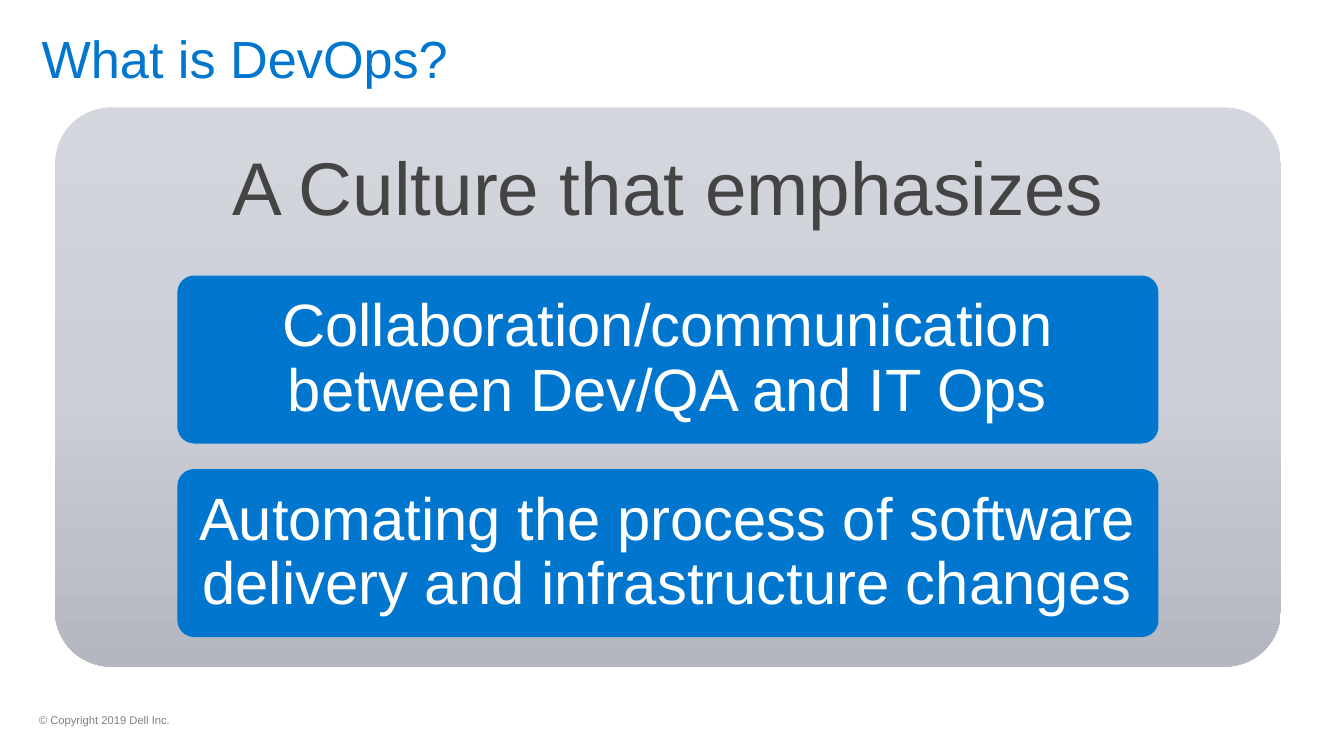
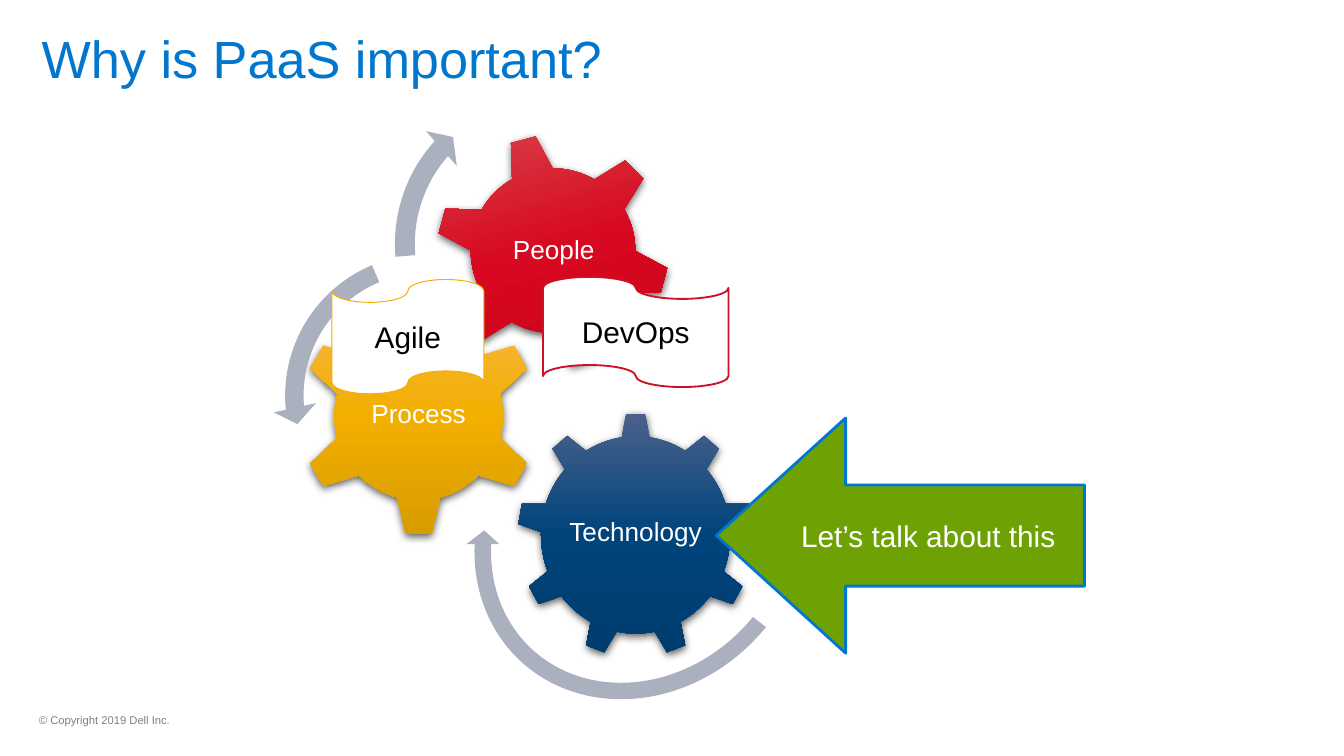
from pptx import Presentation
from pptx.dml.color import RGBColor
from pptx.enum.shapes import MSO_SHAPE
from pptx.enum.text import MSO_ANCHOR, MSO_AUTO_SIZE, PP_ALIGN
from pptx.oxml import parse_xml
from pptx.oxml.ns import nsdecls, qn
from pptx.util import Inches, Pt

FONT = "Arial"
TIGHT = 0.9
WIDTH = 10
HEIGHT = WIDTH * 9 / 16
COLORS = {
    "blue": "0076CE",
    "white": "FFFFFF",
    "black": "000000",
    "text": "444444",
    "note": "808080",
    "swirl": "ABB0BF",
    "green": "6EA204",
    "gold": "F2AF00",
    "red": "CE1126",
}
GRADES = {
    "panel": ("D4D6DD", "CCCFD8", "B4B7C0"),
    "navy": ("4B618B", "00447C", "003C6E"),
    "gold": ("F7B84B", "F2AF00", "D79C00"),
    "red": ("D84C51", "D7081F", "C60016"),
}


def rgb(name):
    return RGBColor.from_string(COLORS[name])


def assign(target, values):
    for key, value in values.items():
        setattr(target, key, value)


def place(box):
    return [Inches(value) for value in box]


def write(shape, text, size, color, inset=None, align=PP_ALIGN.CENTER,
          anchor=MSO_ANCHOR.MIDDLE, spacing=TIGHT, wrap=True,
          fit=MSO_AUTO_SIZE.NONE):
    """Put one formatted paragraph in a shape; inset is (across, down)."""
    frame = shape.text_frame
    frame.text = text
    assign(frame, {"word_wrap": wrap, "auto_size": fit,
                   "vertical_anchor": anchor})
    if inset is not None:
        wide, high = place(inset)
        assign(frame, {"margin_left": wide, "margin_right": wide,
                       "margin_top": high, "margin_bottom": high})
    para = frame.paragraphs[0]
    assign(para, {"alignment": align, "line_spacing": spacing})
    font = para.runs[0].font
    assign(font, {"name": FONT, "size": Pt(size)})
    font.color.rgb = rgb(color)


def label(slide, box, text, size, color, inset, **format):
    shape = slide.shapes.add_textbox(*place(box))
    write(shape, text, size, color, inset, **format)
    return shape


def grade(shape, stops):
    """Fill with a three-stop gradient from top to bottom."""
    shape.fill.gradient()
    shape.fill.gradient_angle = 270
    marks = "".join(
        f'<a:gs pos="{step * 50000}"><a:srgbClr val="{color}"/></a:gs>'
        for step, color in enumerate(stops))
    old = shape.element.spPr.find(".//" + qn("a:gsLst"))
    new = parse_xml(f'<a:gsLst {nsdecls("a")}>{marks}</a:gsLst>')
    old.getparent().replace(old, new)


def draw(slide, kind, box, fill=None, stops=None, line=None, adjust=(),
         turn=0, flip=""):
    """Add a preset shape; line is (color, points), flip holds H and V."""
    shape = slide.shapes.add_shape(kind, *place(box))
    shape.shadow.inherit = False
    shape.rotation = turn
    for index, value in enumerate(adjust):
        shape.adjustments[index] = value
    for axis in flip:
        shape.element.spPr.find(qn("a:xfrm")).set("flip" + axis, "1")
    if stops:
        grade(shape, stops)
    else:
        shape.fill.solid()
        shape.fill.fore_color.rgb = rgb(fill)
    if line:
        color, width = line
        shape.line.color.rgb = rgb(color)
        shape.line.width = Pt(width)
    else:
        shape.line.fill.background()
    return shape


def shade(shape):
    """Cast a soft shadow straight down."""
    effects = shape.element.spPr.find(qn("a:effectLst"))
    effects.append(parse_xml(
        f'<a:outerShdw {nsdecls("a")} blurRad="{Pt(4.5)}" dist="{Pt(1.5)}" '
        'dir="5400000" rotWithShape="0"><a:srgbClr val="000000">'
        '<a:alpha val="63000"/></a:srgbClr></a:outerShdw>'))


def gear(slide, kind, box, stops, text, area, turn=0):
    shade(draw(slide, kind, box, stops=stops, turn=turn))
    label(slide, area, text, 14, "white", (0.02, 0.02))


def tape(slide, box, color, width, text, **pose):
    shape = draw(slide, MSO_SHAPE.FLOWCHART_PUNCHED_TAPE, box, "white",
                 line=(color, width), **pose)
    write(shape, text, 16, "black", spacing=1)


def start(deck, layout, title):
    slide = deck.slides.add_slide(layout)
    head = slide.shapes.title
    left, top, width, height = place((0.31, 0.25, 9.38, 0.42))
    assign(head, {"left": left, "top": top, "width": width, "height": height})
    write(head, title, 28, "blue", (0, 0), align=PP_ALIGN.LEFT,
          anchor=MSO_ANCHOR.TOP, fit=MSO_AUTO_SIZE.SHAPE_TO_FIT_TEXT)
    return slide


def stamp(slide, layout):
    """Move the copyright line to the layout, so every slide shows it."""
    note = label(slide, (0.29, 5.32, 0.99, 0.09),
                 "© Copyright 2019 Dell Inc.", 6, "note", (0, 0),
                 align=PP_ALIGN.LEFT, wrap=False,
                 fit=MSO_AUTO_SIZE.SHAPE_TO_FIT_TEXT)
    layout.shapes.element.append(note.element)


def culture(slide):
    draw(slide, MSO_SHAPE.ROUNDED_RECTANGLE, (0.41, 0.8, 9.12, 4.16),
         stops=GRADES["panel"], adjust=[0.1])
    label(slide, (0.41, 0.8, 9.12, 1.25), "A Culture that emphasizes",
          40, "text", (0.17, 0.17))
    points = ("Collaboration/communication between Dev/QA and IT Ops",
              "Automating the process of software delivery and "
              "infrastructure changes")
    for row, text in enumerate(points):
        bar = draw(slide, MSO_SHAPE.ROUNDED_RECTANGLE,
                   (1.32, 2.05 + row * 1.44, 7.3, 1.25), "blue", adjust=[0.1])
        write(bar, text, 32, "white", (0.09, 0.07))


def gears(slide):
    gear(slide, MSO_SHAPE.GEAR_9, (3.85, 3.07, 1.76, 1.82), GRADES["navy"],
         "Technology", (4.2, 3.49, 1.06, 0.95))
    gear(slide, MSO_SHAPE.GEAR_6, (2.22, 2.2, 1.79, 1.79), GRADES["gold"],
         "Process", (2.67, 2.65, 0.89, 0.88))
    gear(slide, MSO_SHAPE.GEAR_6, (3.24, 0.99, 1.75, 1.75), GRADES["red"],
         "People", (3.63, 1.38, 0.98, 0.98), turn=345)

    draw(slide, MSO_SHAPE.CIRCULAR_ARROW, (3.39, 2.72, 2.77, 2.46), "swirl",
         adjust=(0.05, 2.99, 25.14, 158.67, 0.05), turn=313.3, flip="HV")
    draw(slide, MSO_SHAPE.LEFT_CIRCULAR_ARROW, (2.03, 1.8, 2.29, 2.29),
         "swirl", adjust=(0.06, 4.3, 104.89, 148.38, 0.07))
    draw(slide, MSO_SHAPE.CIRCULAR_ARROW, (2.84, 0.58, 2.47, 2.47), "swirl",
         adjust=(0.06, 3.94, 133.14, 105.08, 0.07))

    arrow = draw(slide, MSO_SHAPE.LEFT_ARROW, (5.33, 3.11, 2.74, 1.75),
                 "green", line=("blue", 1.5), adjust=(0.43, 0.55))
    write(arrow, "Let’s talk about this", 16, "white", spacing=1)
    tape(slide, (2.47, 2.08, 1.13, 0.85), "gold", 0.5, "Agile")
    tape(slide, (4.04, 2.06, 1.38, 0.82), "red", 1, "DevOps",
         turn=180, flip="V")


def main():
    deck = Presentation()
    assign(deck, {"slide_width": Inches(WIDTH),
                  "slide_height": Inches(HEIGHT)})
    layout = deck.slide_layouts.get_by_name("Title Only")
    first = start(deck, layout, "What is DevOps?")
    stamp(first, layout)
    culture(first)
    gears(start(deck, layout, "Why is PaaS important?"))
    deck.save("out.pptx")


if __name__ == "__main__":
    main()
